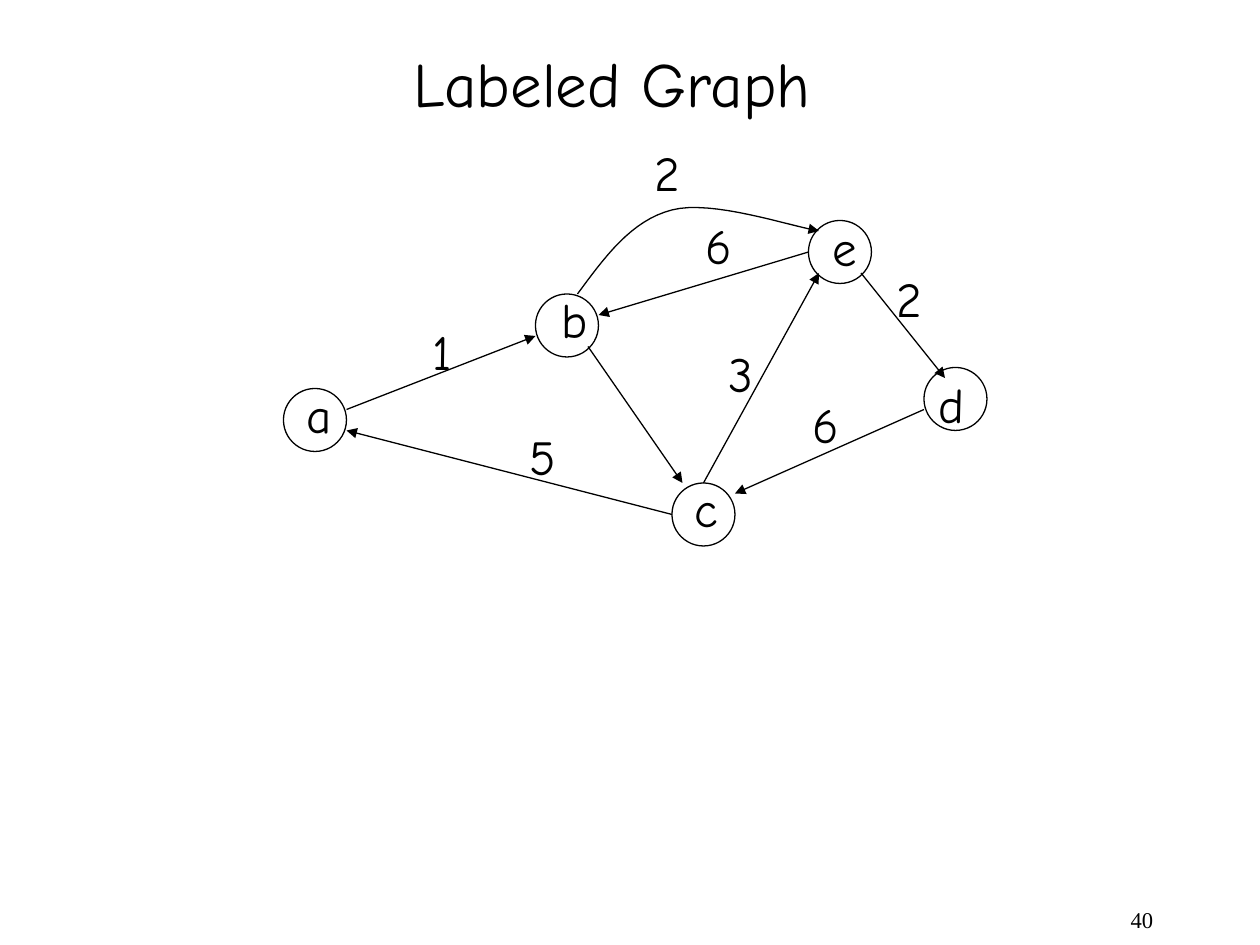
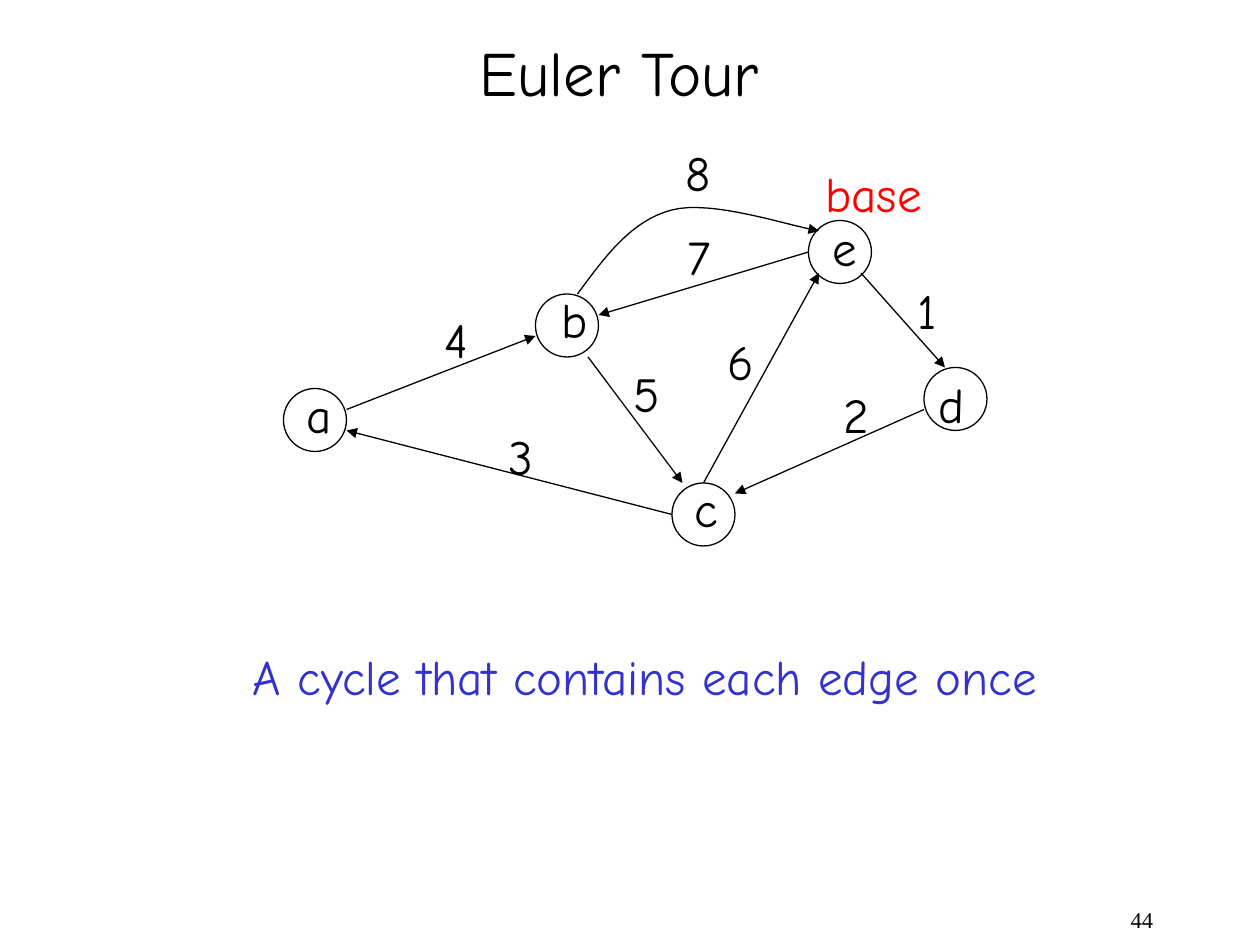
from dataclasses import dataclass

from lxml import etree
from pptx import Presentation
from pptx.dml.color import RGBColor
from pptx.enum.shapes import MSO_CONNECTOR, MSO_SHAPE
from pptx.enum.text import MSO_ANCHOR, MSO_AUTO_SIZE, PP_ALIGN
from pptx.oxml.ns import qn
from pptx.util import Emu, Inches, Pt

STRAIGHT = MSO_CONNECTOR.STRAIGHT
OVAL = MSO_SHAPE.OVAL
TOP = MSO_ANCHOR.TOP
NO_AUTOFIT = MSO_AUTO_SIZE.NONE
CENTER, RIGHT = PP_ALIGN.CENTER, PP_ALIGN.RIGHT


@dataclass(frozen=True)
class Theme:
    ink: str = "000000"
    base: str = "FF0000"
    caption: str = "3333CC"
    font: str = "Comic Neue"
    number_font: str = "Times New Roman"
    title_size: float = 36
    text_size: float = 28
    number_size: float = 12.9
    line_width: float = 0.75


THEME = Theme()

# Every position is in grid units of one twelfth of an inch.
UNITS_PER_INCH = 12
NODE_SIZE = 6
LABEL_WIDTH, TEXT_HEIGHT, TITLE_HEIGHT = 4.8, 6.8, 8.4
NUMBER_BOX = (86, 86, 25, 4)
CURVE_STEPS = 16

# Node name: (left, top) of the circle, centre of the letter
NODES = {
    "c": ((64, 46), (67.3, 48.4)),
    "b": ((51, 28), (54.7, 30.4)),
    "d": ((88, 35), (90.6, 38.5)),
    "a": ((27, 37), (30.4, 39.4)),
    "e": ((77, 21), (80.5, 23.5)),
}

# Edge name: start, end
EDGES = {
    "ab": ((33, 39), (51, 32)),
    "bc": ((56, 33), (65, 46)),
    "ce": ((67, 46), (78, 26)),
    "dc": ((88, 39), (70, 47)),
    "ca": ((64, 49), (33, 41)),
    "ed": ((82, 26), (90, 36)),
    "eb": ((77, 24), (57, 30)),
}

# The bent edge from b to e: cubic Bézier pieces that share their end points
CURVE = [
    ((55, 28), (57.6, 24.5), (60.1, 21), (64, 20)),
    ((64, 20), (67.8, 19), (75.1, 21.5), (78, 22)),
]

# Title: text, centre, width. Weights: text, centre.
# Notes: text, centre, width, colour.
SLIDES = [
    {
        "number": "40",
        "title": ("Labeled Graph", (58.3, 7.8), 40.3),
        "edges": EDGES,
        "weights": [
            ("1", (42.1, 33.4)), ("3", (70.6, 35.5)), ("5", (51.7, 43.4)),
            ("6", (78.7, 40.4)), ("2", (86.6, 28.4)), ("6", (68.5, 23.3)),
            ("2", (63.6, 16.4)),
        ],
        "notes": [],
    },
    {
        "number": "44",
        "title": ("Euler Tour", (59, 6.8), 29.5),
        "edges": EDGES | {"bc": ((56, 34), (65, 46)), "ed": ((82, 26), (90, 35))},
        "weights": [
            ("1", (88.3, 29.5)), ("2", (81.6, 39.4)), ("3", (49.6, 43.4)),
            ("4", (43.5, 32.3)), ("5", (61.6, 37.4)), ("6", (70.6, 34.4)),
            ("7", (66.6, 24.4)), ("8", (66.5, 16.4)),
        ],
        "notes": [
            ("base", (83.2, 18.4), 11.5, THEME.base),
            ("A cycle that contains each edge once", (61.4, 64.4), 77.3, THEME.caption),
        ],
    },
]


def units(*values):
    return [Emu(round(Inches(value) / UNITS_PER_INCH)) for value in values]


def box_around(center, width, height):
    return center[0] - width / 2, center[1] - height / 2, width, height


def write(shape, text, size, color=THEME.ink, font=THEME.font, align=CENTER):
    frame = shape.text_frame
    frame.text = text
    frame.word_wrap = False
    frame.auto_size = NO_AUTOFIT
    frame.vertical_anchor = TOP
    paragraph = frame.paragraphs[0]
    paragraph.alignment = align
    run_font = paragraph.runs[0].font
    run_font.name = font
    run_font.size = Pt(size)
    run_font.color.rgb = RGBColor.from_string(color)
    return paragraph


def add_text(slide, text, center, width=LABEL_WIDTH, color=THEME.ink):
    box = slide.shapes.add_textbox(*units(*box_around(center, width, TEXT_HEIGHT)))
    write(box, text, THEME.text_size, color)


def draw_outline(shape):
    shape.line.color.rgb = RGBColor.from_string(THEME.ink)
    shape.line.width = Pt(THEME.line_width)


def add_arrowhead(shape):
    line = shape.element.spPr.find(qn("a:ln"))
    etree.SubElement(line, qn("a:tailEnd"), type="triangle")


def add_node(slide, name):
    corner, letter_center = NODES[name]
    circle = slide.shapes.add_shape(OVAL, *units(*corner, NODE_SIZE, NODE_SIZE))
    circle.shadow.inherit = False
    circle.fill.background()
    draw_outline(circle)
    add_text(slide, name, letter_center)


def add_edge(slide, start, end):
    edge = slide.shapes.add_connector(STRAIGHT, *units(*start, *end))
    draw_outline(edge)
    add_arrowhead(edge)
    etree.SubElement(edge.element.spPr, qn("a:effectLst"))


def bezier_point(piece, share):
    rest = 1 - share
    factors = (rest**3, 3 * rest**2 * share, 3 * rest * share**2, share**3)
    return [sum(f * point[axis] for f, point in zip(factors, piece)) for axis in (0, 1)]


def add_curved_edge(slide):
    points = [
        units(*bezier_point(piece, step / CURVE_STEPS))
        for piece in CURVE
        for step in range(1, CURVE_STEPS + 1)
    ]
    builder = slide.shapes.build_freeform(*units(*CURVE[0][0]))
    builder.add_line_segments(points, close=False)
    curve = builder.convert_to_shape()
    curve.shadow.inherit = False
    curve.fill.background()
    draw_outline(curve)
    add_arrowhead(curve)


def add_title(slide, text, center, width):
    title = slide.shapes.title
    title.left, title.top, title.width, title.height = units(
        *box_around(center, width, TITLE_HEIGHT)
    )
    write(title, text, THEME.title_size)


def add_number(slide, number):
    box = slide.shapes.add_textbox(*units(*NUMBER_BOX))
    paragraph = write(
        box, number, THEME.number_size, font=THEME.number_font, align=RIGHT
    )
    box.text_frame.word_wrap = True
    paragraph.line_spacing = 0.9


def build_slide(presentation, content):
    slide = presentation.slides.add_slide(presentation.slide_layouts[5])
    add_number(slide, content["number"])
    add_title(slide, *content["title"])
    for name in NODES:
        add_node(slide, name)
    for start, end in content["edges"].values():
        add_edge(slide, start, end)
    add_curved_edge(slide)
    for weight, center in content["weights"]:
        add_text(slide, weight, center)
    for note in content["notes"]:
        add_text(slide, *note)


def main():
    presentation = Presentation()
    presentation.slide_width = Inches(10)
    presentation.slide_height = Inches(7.5)
    for content in SLIDES:
        build_slide(presentation, content)
    presentation.save("out.pptx")


if __name__ == "__main__":
    main()
